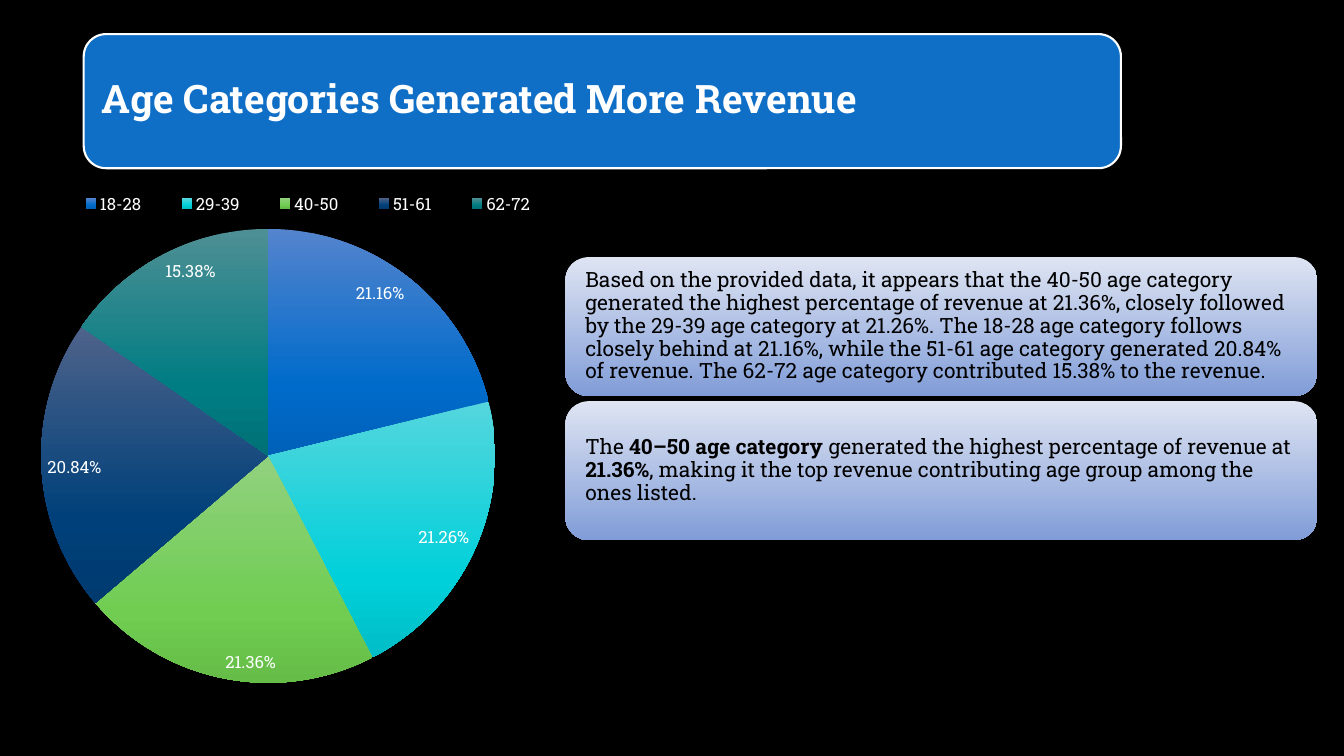
import lxml.etree
import pptx
import pptx.chart.data
import pptx.dml.color
import pptx.enum.chart
import pptx.enum.shapes
import pptx.enum.text
import pptx.oxml.ns
import pptx.util

Cm = pptx.util.Cm
Pt = pptx.util.Pt
qn = pptx.oxml.ns.qn


def color(value):
    return pptx.dml.color.RGBColor.from_string(value)


def add_element(parent, tag, **attributes):
    return lxml.etree.SubElement(parent, qn(tag), attributes)


def fill_gradient(fill, stops):
    """Fill from top to bottom with (percent, colour) stops."""
    fill.gradient()
    fill.gradient_angle = 270
    stop_list = fill._xPr.find(qn("a:gradFill")).find(qn("a:gsLst"))
    for stop in list(stop_list):
        stop_list.remove(stop)
    for percent, value in stops:
        stop = add_element(stop_list, "a:gs", pos=str(percent * 1000))
        add_element(stop, "a:srgbClr", val=value)


def place_chart_part(part, index, x, y, w, h, inner=False):
    """Give a chart part a fixed place, as fractions of the chart."""
    for old_layout in part.findall(qn("c:layout")):
        part.remove(old_layout)
    layout = add_element(part, "c:layout")
    part.insert(index, layout)
    manual = add_element(layout, "c:manualLayout")
    if inner:
        add_element(manual, "c:layoutTarget", val="inner")
    add_element(manual, "c:xMode", val="edge")
    add_element(manual, "c:yMode", val="edge")
    for name, value in (("x", x), ("y", y), ("w", w), ("h", h)):
        add_element(manual, f"c:{name}", val=str(value))


class SlideBuilder:
    font = "Roboto Slab"
    white = "FFFFFF"
    black = "000000"
    blue = "0F6FC6"
    note_stops = [(0, "DEE4F2"), (100, "819DD8")]

    def __init__(self, presentation):
        self.slide = presentation.slides.add_slide(presentation.slide_layouts[5])
        background = self.slide.background.fill
        background.solid()
        background.fore_color.rgb = color(self.black)

    def set_font(self, font, size, value, bold=False):
        font.name = self.font
        font.size = Pt(size)
        font.bold = bold
        font.color.rgb = color(value)

    def add_text(self, shape, runs, size, value, inset):
        frame = shape.text_frame
        frame.word_wrap = True
        frame.auto_size = pptx.enum.text.MSO_AUTO_SIZE.NONE
        frame.vertical_anchor = pptx.enum.text.MSO_ANCHOR.MIDDLE
        frame.margin_left = frame.margin_right = Cm(inset)
        frame.margin_top = frame.margin_bottom = Cm(inset)
        paragraph = frame.paragraphs[0]
        paragraph.alignment = pptx.enum.text.PP_ALIGN.LEFT
        paragraph.line_spacing = 0.9
        for text, bold in runs:
            run = paragraph.add_run()
            run.text = text
            self.set_font(run.font, size, value, bold)

    def rounded_card(self, left, top, width, height):
        card = self.slide.shapes.add_shape(
            pptx.enum.shapes.MSO_SHAPE.ROUNDED_RECTANGLE,
            Cm(left), Cm(top), Cm(width), Cm(height))
        card.shadow.inherit = False
        card.line.fill.background()
        return card

    def title(self, text, left, top, width, height):
        card = self.rounded_card(left, top, width, height)
        card.fill.solid()
        card.fill.fore_color.rgb = color(self.blue)
        card.line.color.rgb = color(self.white)
        card.line.width = Pt(1.5)
        title = self.slide.shapes.title
        title.left, title.top = card.left, card.top
        title.width, title.height = card.width, card.height
        self.add_text(title, [(text, True)], 28, self.white, 0.46)
        card.element.addnext(title.element)

    def note(self, runs, left, top, width, height):
        card = self.rounded_card(left, top, width, height)
        fill_gradient(card.fill, self.note_stops)
        self.add_text(card, runs, 15, self.black, 0.33)

    def pie(self, shares, slice_colors, left, top, width, height):
        data = pptx.chart.data.CategoryChartData(number_format="0.00%")
        data.categories = list(shares)
        data.add_series("Series 1", list(shares.values()))
        chart = self.slide.shapes.add_chart(
            pptx.enum.chart.XL_CHART_TYPE.PIE,
            Cm(left), Cm(top), Cm(width), Cm(height), data).chart
        chart.has_title = False
        self.set_font(chart.font, 10, self.white)
        plot = chart.plots[0]
        plot.vary_by_categories = True
        place_chart_part(chart.element.find(".//" + qn("c:plotArea")), 0,
                         0.021, 0.154, 0.415, 0.845, inner=True)

        # Slices
        for index, slice_stops in enumerate(slice_colors):
            point = plot.series[0].points[index]
            fill_gradient(point.format.fill, zip((0, 69, 100), slice_stops))
            point.format.line.fill.background()

        # Labels
        plot.has_data_labels = True
        labels = plot.data_labels
        labels.show_value = True
        labels.show_percentage = False
        labels.number_format = "0.00%"
        labels.number_format_is_linked = False
        labels.position = pptx.enum.chart.XL_LABEL_POSITION.INSIDE_END
        self.set_font(labels.font, 12, self.white)

        # Legend
        chart.has_legend = True
        legend = chart.legend
        legend.position = pptx.enum.chart.XL_LEGEND_POSITION.RIGHT
        legend.include_in_layout = False
        self.set_font(legend.font, 12, self.white)
        place_chart_part(chart.element.find(".//" + qn("c:legend")), 1,
                         0.03, 0.14, 0.47, 0.05)


def main():
    presentation = pptx.Presentation()
    presentation.slide_width = Cm(33.87)
    presentation.slide_height = Cm(19.05)
    builder = SlideBuilder(presentation)

    builder.title("Age Categories Generated More Revenue", 2.11, 0.86, 26.14, 3.38)

    # Revenue share by age
    shares = {"18-28": 0.2116, "29-39": 0.2126, "40-50": 0.2136,
              "51-61": 0.2084, "62-72": 0.1538}
    slice_colors = [
        ("5484CD", "006BCB", "0061B9"),
        ("55D6DD", "00D0DA", "00BDC6"),
        ("91D17E", "70CD52", "65BD47"),
        ("4E638A", "00407A", "003A6F"),
        ("4E8F94", "007D83", "007177"),
    ]
    builder.pie(shares, slice_colors, 0.46, 2.57, 27.56, 15.47)

    # Findings
    notes = [
        [("Based on the provided data, it appears that the 40-50 age category "
          "generated the highest percentage of revenue at 21.36%, closely followed "
          "by the 29-39 age category at 21.26%. The 18-28 age category follows "
          "closely behind at 21.16%, while the 51-61 age category generated 20.84% "
          "of revenue. The 62-72 age category contributed 15.38% to the revenue.",
          False)],
        [("The ", False),
         ("40–50 age category", True),
         (" generated the highest percentage of revenue at ", False),
         ("21.36%", True),
         (", making it the top revenue contributing age group among the ones listed.",
          False)],
    ]
    for index, runs in enumerate(notes):
        builder.note(runs, 14.25, 6.48 + index * 3.63, 18.95, 3.5)

    presentation.save("out.pptx")


if __name__ == "__main__":
    main()
